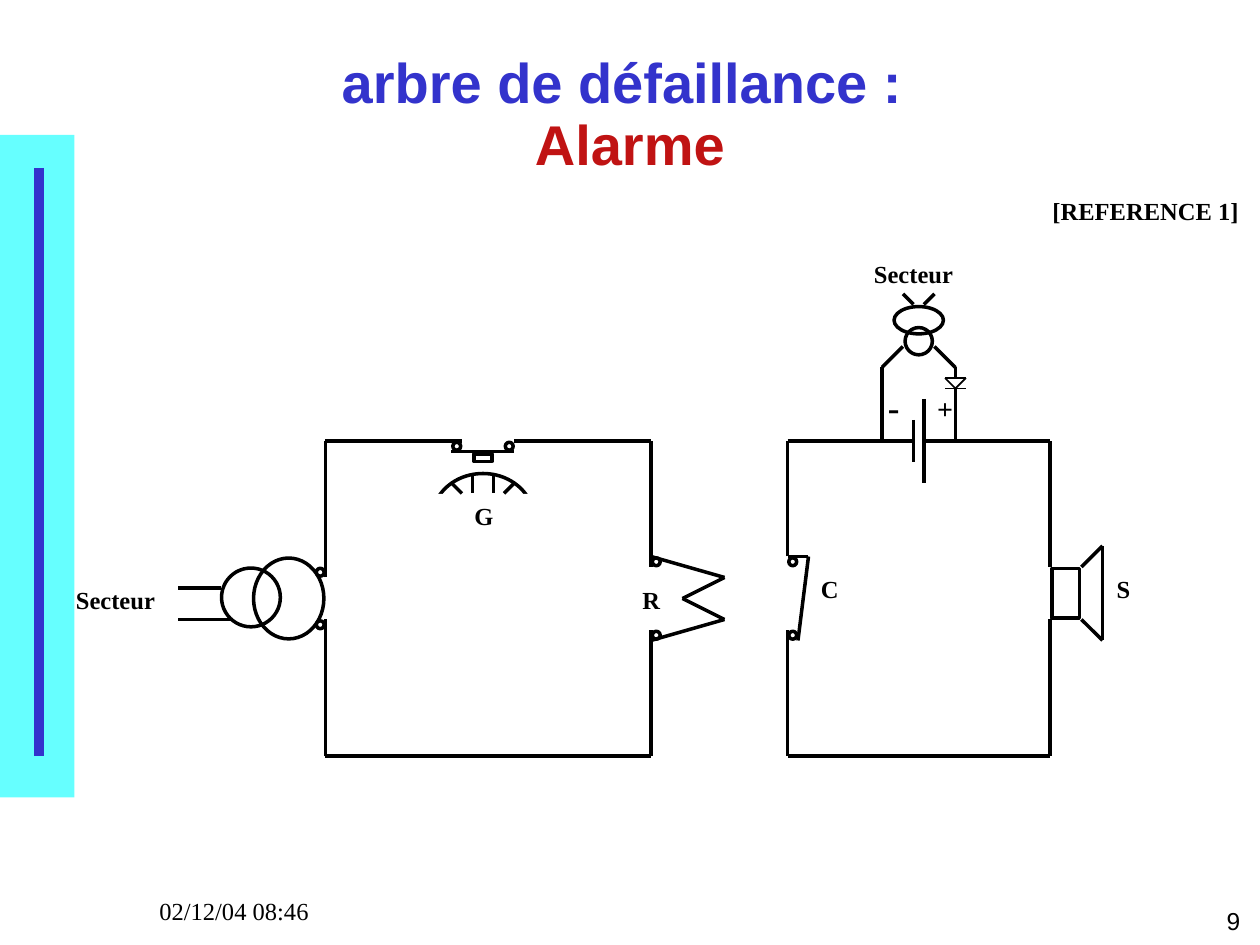
from itertools import pairwise
from lxml import etree
from pptx import Presentation
from pptx.dml.color import RGBColor
from pptx.enum.shapes import MSO_CONNECTOR as Link, MSO_SHAPE as Kind
from pptx.enum.text import MSO_ANCHOR as Anchor, PP_ALIGN as Align
from pptx.oxml.ns import qn
from pptx.util import Inches, Pt

BLACK = RGBColor(0, 0, 0)
WHITE = RGBColor(255, 255, 255)
CYAN = RGBColor(0x66, 0xFF, 0xFF)
BLUE = RGBColor(0x33, 0x33, 0xCC)
RED = RGBColor(0xC0, 0x13, 0x13)
SANS, SERIF = "Arial", "Times New Roman"
COLS, ROWS = 120, 90  # twelve cells to the inch


class Sheet:
    """Draws on one slide; all lengths are grid cells."""

    def __init__(self, deck):
        self.slide = deck.slides.add_slide(deck.slide_layouts[6])
        self.shapes = self.slide.shapes
        self.cell = deck.slide_width / COLS

    def grid(self, *cells):
        return [round(n * self.cell) for n in cells]

    def wire(self, *points, color=BLACK, width=2):
        """Join each point to the next."""
        for start, end in pairwise(points):
            line = self.shapes.add_connector(
                Link.STRAIGHT, *self.grid(*start, *end))
            line.line.color.rgb = color
            line.line.width = Pt(width)
            etree.SubElement(line._element.spPr, qn("a:effectLst"))

    def form(self, kind, x, y, wide, high, fill=WHITE, line=BLACK):
        """Place a preset shape by its centre."""
        item = self.shapes.add_shape(
            kind, *self.grid(x - wide / 2, y - high / 2, wide, high))
        item.shadow.inherit = False
        if fill is None:
            item.fill.background()
        else:
            item.fill.solid()
            item.fill.fore_color.rgb = fill
        if line is None:
            item.line.fill.background()
        else:
            item.line.color.rgb = line
            item.line.width = Pt(2)

    def dot(self, x, y):
        self.form(Kind.OVAL, x, y, 0.75, 0.75)

    def text(self, x, y, wide, high, *lines, size=14, face=SERIF,
             bold=True, align=Align.CENTER, wrap=False, space=0.95):
        """Place text by its centre; each line is (words, colour)."""
        box = self.shapes.add_textbox(
            *self.grid(x - wide / 2, y - high / 2, wide, high))
        frame = box.text_frame
        frame.word_wrap = wrap
        frame.vertical_anchor = Anchor.MIDDLE if wrap else Anchor.TOP
        para = frame.paragraphs[0]
        para.alignment = align
        para.line_spacing = space
        for i, (words, color) in enumerate(lines):
            if i:
                para.add_line_break()
            run = para.add_run()
            run.text = words
            font = run.font
            font.name, font.size, font.bold = face, Pt(size), bold
            font.color.rgb = color

    def label(self, x, y, words, wide=4, high=3.84, size=14):
        self.text(x, y, wide, high, (words, BLACK), size=size)


def main():
    deck = Presentation()
    deck.slide_width, deck.slide_height = Inches(10), Inches(7.5)
    page = Sheet(deck)

    # Side band, title and footer
    page.form(Kind.RECTANGLE, 3.54, 44.4, 7.08, 63.1, fill=CYAN, line=None)
    page.wire((3.7, 16), (3.7, 72), color=BLUE, width=6)
    page.text(60, 11, 102, 13.6, ("arbre de défaillance : ", BLUE),
              ("Alarme", RED), size=32, face=SANS, wrap=True, space=0.93)
    page.text(106.8, 87.8, 25, 3.84, ("9", BLACK), face=SANS, bold=False,
              align=Align.RIGHT, wrap=True, space=0.93)
    page.text(26.5, 86.9, 25, 3.84, ("02/12/04 08:46", BLACK), bold=False,
              align=Align.LEFT, wrap=True)

    # Mains transformer
    page.wire((17, 56), (21, 56))
    page.wire((17, 59), (22, 59))
    page.form(Kind.OVAL, 23.9, 56.9, 5.6, 5.6)
    page.form(Kind.OVAL, 27.5, 57, 6.7, 7.7, fill=None)

    # Left loop
    page.wire((31, 55), (31, 42), (44, 42))
    page.wire((49, 42), (62, 42), (62, 54))
    page.wire((62, 60), (62, 72), (31, 72), (31, 59))

    # Terminals on the two loops
    for x in (30.5, 62.5, 75.5):
        gap = 2.5 if x == 30.5 else 3.5
        for y in (57 - gap, 57 + gap):
            page.dot(x, y)

    # Push button and dial
    for x in (43.5, 48.5):
        page.dot(x, 42.5)
    page.wire((43, 43), (49, 43))
    page.form(Kind.RECTANGLE, 46, 43.6, 1.7, 0.7)
    page.form(Kind.OVAL, 46, 49.4, 9.7, 8.6)
    page.form(Kind.RECTANGLE, 47, 52.55, 14, 11, line=None)
    for top, foot in ((43, 44), (45, 45), (47, 47), (49, 48)):
        page.wire((top, 45 if top == foot else 46), (foot, 47))

    # Relay and its contact
    page.wire((62, 53), (69, 55), (65, 57), (69, 59), (62, 61))
    page.wire((75, 53), (77, 53), (76, 61))

    # Right loop with battery
    page.wire((75, 53), (75, 42), (87, 42))
    page.wire((88, 42), (100, 42), (100, 54))
    page.wire((75, 60), (75, 72), (100, 72), (100, 59))
    page.wire((87, 40), (87, 44))
    page.wire((88, 38), (88, 46))

    # Charger with diode
    page.form(Kind.OVAL, 87.5, 30.5, 4.7, 2.6)
    page.form(Kind.OVAL, 87.5, 32.5, 2.6, 2.6, fill=None)
    page.wire((84, 42), (84, 35), (86, 33))
    page.wire((89, 33), (91, 35), (91, 36))
    page.wire((91, 37), (91, 42))
    page.wire((90, 37), (92, 37), width=1)
    page.wire((90, 36), (91, 37), (92, 36), (90, 36), width=1)
    page.wire((86, 28), (87, 29))
    page.wire((88, 29), (89, 28))

    # Siren
    page.form(Kind.RECTANGLE, 101.5, 56.5, 2.6, 4.7)
    page.wire((103, 54), (105, 52), (105, 61), (103, 59))

    # Labels
    for x, y, words in ((46, 49.2, "G"), (62, 57.2, "R"),
                        (79, 56.2, "C"), (107, 56.2, "S")):
        page.label(x, y, words)
    for x, y in ((11, 57.2), (87, 26.2)):
        page.label(x, y, "Secteur", wide=10)
    page.label(109.1, 20.2, "[REFERENCE 1]", wide=20.8)
    page.label(85.1, 38.9, "-", high=5, size=20)
    page.label(90, 39.1, "+", high=4.3, size=16)

    deck.save("out.pptx")


if __name__ == "__main__":
    main()
